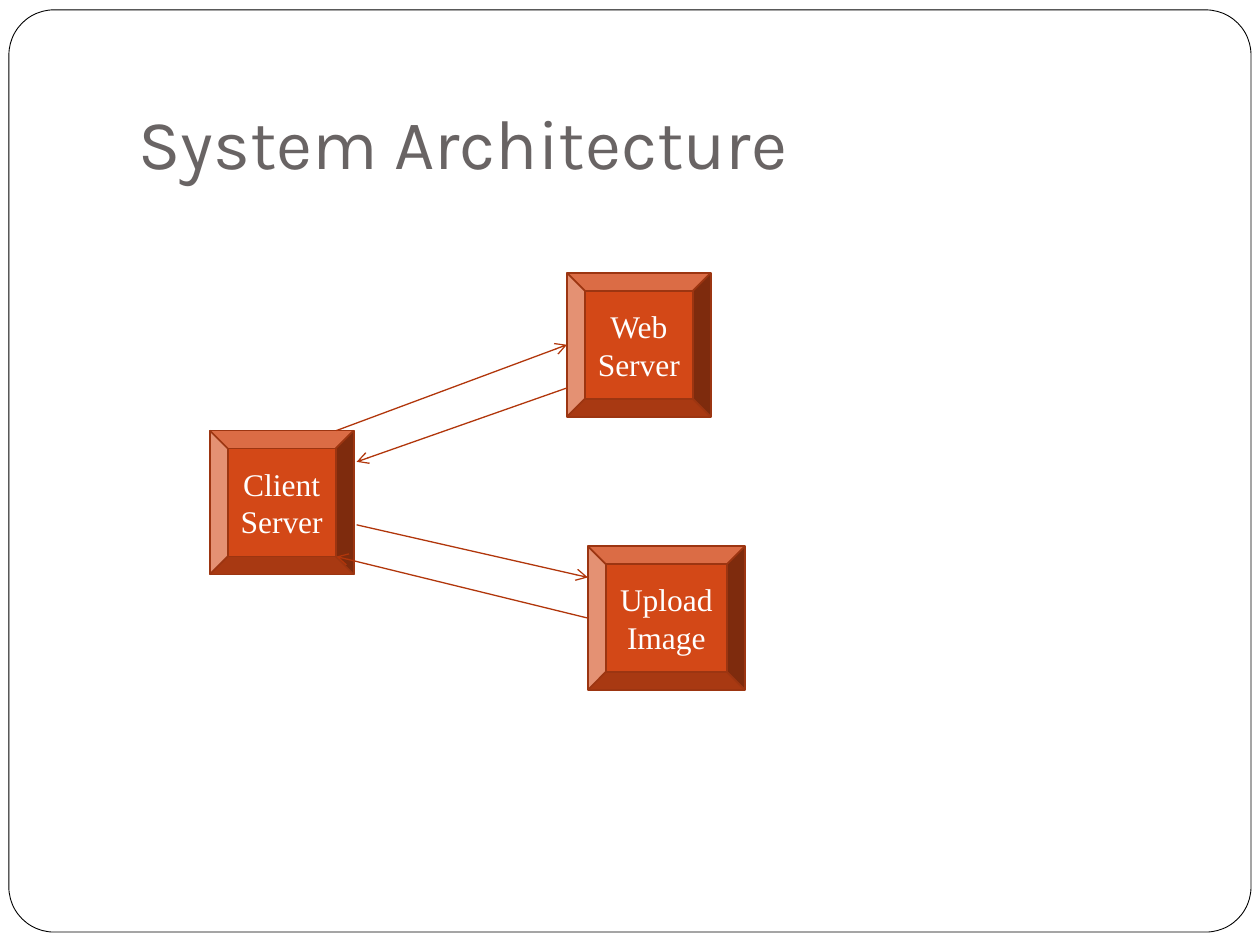
from lxml import etree
from pptx import Presentation
from pptx.dml.color import RGBColor
from pptx.enum.shapes import MSO_CONNECTOR, MSO_SHAPE
from pptx.enum.text import MSO_ANCHOR, PP_ALIGN
from pptx.oxml.ns import qn
from pptx.util import Cm, Pt

ROUND, BEVEL = MSO_SHAPE.ROUNDED_RECTANGLE, MSO_SHAPE.BEVEL
LINE = MSO_CONNECTOR.STRAIGHT
LOW, MID = MSO_ANCHOR.BOTTOM, MSO_ANCHOR.MIDDLE
START, CENTER = PP_ALIGN.LEFT, PP_ALIGN.CENTER
BEVEL_LEFT = "4"  # a bevel numbers its left side 4, a rectangle 1

# name: text, left, top, width
NODES = {
    "client": ("Client Server", 0, 3.18, 2.9),
    "web": ("Web Server", 7.2, 0, 2.9),
    "upload": ("Upload Image", 7.62, 5.51, 3.17),
}
# start, end, node joined at start, node joined at end
LINKS = [
    ((2.55, 3.18), (7.2, 1.45), None, "web"),
    ((7.2, 2.32), (2.96, 3.81), None, None),
    ((2.96, 5.08), (7.62, 6.14), None, None),
    ((7.62, 6.96), (2.55, 5.72), "upload", None),
]


def color(text):
    return RGBColor.from_string(text)


def style(frame, para, font):
    for key, value in para.items():
        setattr(frame.paragraphs[0], key, value)
    for key, value in font.items():
        setattr(frame.paragraphs[0].runs[0].font, key, value)


def add_box(slide, kind, box, fill, edge, width):
    shape = slide.shapes.add_shape(kind, *map(Cm, box))
    shape.shadow.inherit = False
    shape.fill.solid()
    shape.fill.fore_color.rgb = color(fill)
    shape.line.color.rgb = color(edge)
    shape.line.width = Pt(width)
    return shape


def add_head(slide, left, top, width, height):
    """Fill the title and put the page frame behind it."""
    title = slide.shapes.title
    frame = add_box(slide, ROUND, (0.18, 0.2, 25.04, 18.59),
                    "FFFFFF", "000000", 0.5)
    frame.adjustments[0] = 0.049
    title.element.addprevious(frame.element)
    place = {"left": left, "top": top, "width": width, "height": height}
    for key, value in place.items():
        setattr(title, key, Cm(value))
    text = title.text_frame
    text.text = "System Architecture"
    text.vertical_anchor = LOW
    text.margin_bottom = Cm(0.25)
    style(text, {"alignment": START}, {"size": Pt(40), "name": "Karla"})
    text.paragraphs[0].runs[0].font.color.rgb = color("696464")


def add_node(slide, label, box):
    node = add_box(slide, BEVEL, box, "D34817", "9C3511", 1)
    text = node.text_frame
    text.text = label
    text.word_wrap = True
    text.vertical_anchor = MID
    text.margin_left = text.margin_right = Cm(0.2)
    style(text, {"alignment": CENTER},
          {"size": Pt(18), "name": "Times New Roman"})
    text.paragraphs[0].runs[0].font.color.rgb = color("FFFFFF")
    return node


def add_arrow(slide, start, end, source, target):
    link = slide.shapes.add_connector(LINE, *map(Cm, start + end))
    link.line.color.rgb = color("B1360B")
    link.line.width = Pt(0.75)
    if source:
        link.begin_connect(source, 1)
    if target:
        link.end_connect(target, 1)
    for tag in ("a:stCxn", "a:endCxn"):
        for join in link.element.iter(qn(tag)):
            join.set("idx", BEVEL_LEFT)
    props = link.element.spPr
    etree.SubElement(props.find(qn("a:ln")), qn("a:tailEnd"), type="arrow")
    etree.SubElement(props, qn("a:effectLst"))


def add_flow(slide, left, top):
    """Draw the nodes and the arrows between them."""
    nodes = {
        name: add_node(slide, label, (left + x, top + y, width, 2.9))
        for name, (label, x, y, width) in NODES.items()
    }
    for start, end, source, target in LINKS:
        ends = [(left + x, top + y) for x, y in (start, end)]
        add_arrow(slide, *ends, nodes.get(source), nodes.get(target))


def main():
    deck = Presentation()
    deck.slide_width, deck.slide_height = Cm(25.4), Cm(19.05)
    slide = deck.slides.add_slide(deck.slide_layouts[5])
    add_head(slide, 2.54, 0.76, 21.59, 3.18)
    add_flow(slide, 4.23, 5.5)
    deck.save("out.pptx")


if __name__ == "__main__":
    main()
